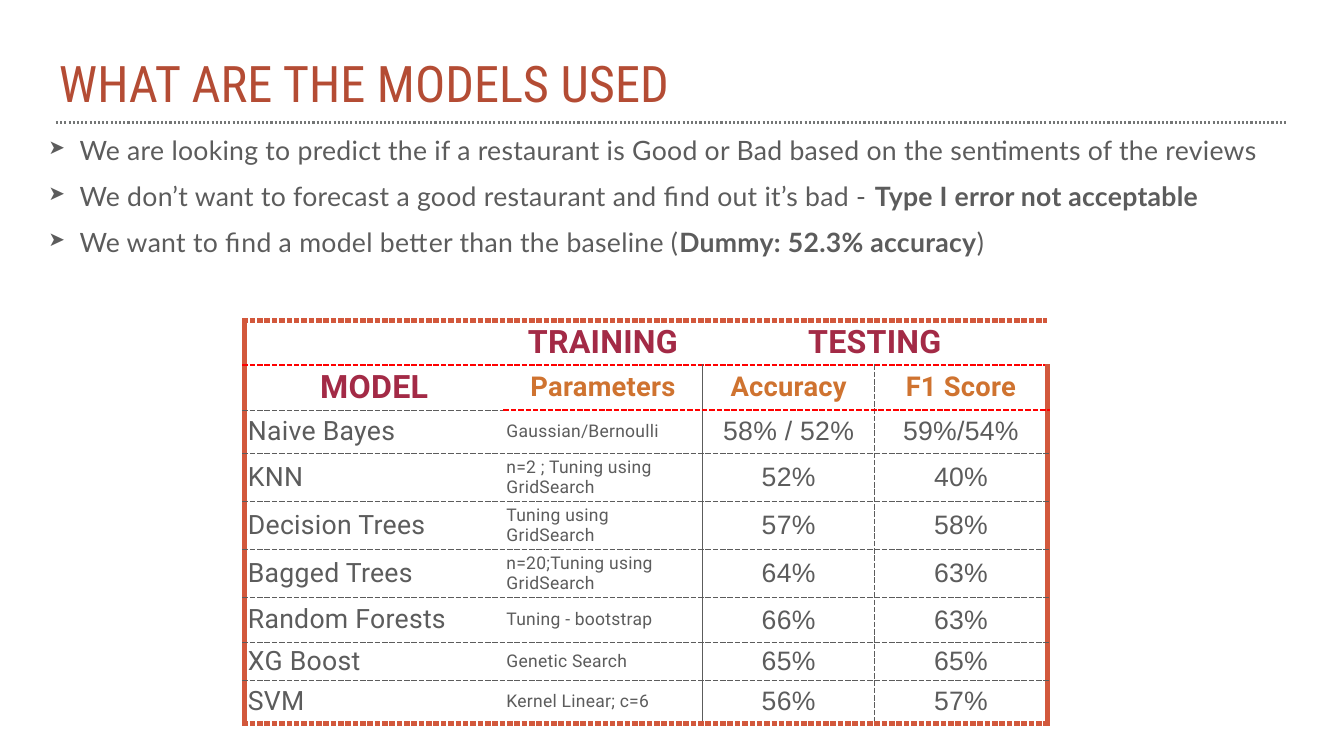
"""Build a slide that compares the models used to predict restaurant quality."""
from dataclasses import dataclass
from typing import NamedTuple, Optional

from lxml import etree
from pptx import Presentation
from pptx.dml.color import RGBColor
from pptx.enum.dml import MSO_LINE
from pptx.enum.shapes import MSO_CONNECTOR
from pptx.enum.text import MSO_ANCHOR, PP_ALIGN
from pptx.oxml.ns import qn
from pptx.util import Inches, Pt

LEFT, CENTER = PP_ALIGN.LEFT, PP_ALIGN.CENTER
TOP, MIDDLE = MSO_ANCHOR.TOP, MSO_ANCHOR.MIDDLE
STRAIGHT, DOTS = MSO_CONNECTOR.STRAIGHT, MSO_LINE.ROUND_DOT

WIDTH, HEIGHT = Inches(26.67), Inches(15)
INSET = Inches(0.06)
INDENT = Inches(0.62)


@dataclass(frozen=True)
class Theme:
    """Colours, fonts and type sizes."""
    title: str = "B44C34"
    body: str = "5C5C5C"
    rule: str = "747676"
    frame: str = "D2583C"
    alert: str = "FF0000"
    head: str = "A32A46"
    label: str = "CF7330"
    title_font: str = "Roboto Condensed"
    body_font: str = "Lato"
    text_font: str = "Roboto"
    score_font: str = "Arial"
    title_size: int = 72
    head_size: int = 46
    label_size: int = 39
    body_size: int = 38
    note_size: int = 25


class Type(NamedTuple):
    """Look of a run of text."""
    font: str
    size: int
    color: str
    bold: bool = False
    gap: int = 40


class Edge(NamedTuple):
    """Look of a cell border."""
    color: str
    width: float
    dash: str = "solid"


class Point(NamedTuple):
    """Bullet text with a bold part and a tail."""
    text: str
    strong: str = ""
    tail: str = ""


class Model(NamedTuple):
    """One model with its settings and test scores."""
    name: str
    setup: str
    accuracy: str
    score: str


THEME = Theme()
TITLE = Type(THEME.title_font, THEME.title_size, THEME.title, gap=0)
BODY = Type(THEME.body_font, THEME.body_size, THEME.body)
HEAD = Type(THEME.text_font, THEME.head_size, THEME.head, True)
LABEL = Type(THEME.text_font, THEME.label_size, THEME.label, True)
NAME = Type(THEME.text_font, THEME.body_size, THEME.body)
NOTE = Type(THEME.text_font, THEME.note_size, THEME.body)
SCORE = Type(THEME.score_font, THEME.body_size, THEME.body)

SIDE = Edge(THEME.frame, 8)
CAP = Edge(THEME.frame, 8, "sysDash")
ALERT = Edge(THEME.alert, 3, "sysDash")
THIN = Edge(THEME.body, 1, "dash")
SPLIT = Edge(THEME.body, 2)

POINTS = [
    Point("We are looking to predict the if a restaurant is Good or Bad "
          "based on the sentiments of the reviews"),
    Point("We don’t want to forecast a good restaurant and find out it’s bad - ",
          "Type I error not acceptable"),
    Point("We want to find a model better than the baseline (",
          "Dummy: 52.3% accuracy", ")"),
]
MODELS = [
    Model("Naive Bayes", "Gaussian/Bernoulli", "58% / 52%", "59%/54%"),
    Model("KNN", "n=2 ; Tuning using GridSearch", "52%", "40%"),
    Model("Decision Trees", "Tuning using GridSearch", "57%", "58%"),
    Model("Bagged Trees", "n=20;Tuning using GridSearch", "64%", "63%"),
    Model("Random Forests", "Tuning - bootstrap", "66%", "63%"),
    Model("XG Boost", "Genetic Search", "65%", "65%"),
    Model("SVM", "Kernel Linear; c=6", "56%", "57%"),
]
COLS = [19.24, 14.81, 12.82, 12.82]
ROWS = [5.27, 5.87, 5.73, 5.73, 5.73, 5.87, 5.93, 5, 5.67]


def across(share: float) -> int:
    """Turn a percentage of the slide's width into a length."""
    return int(WIDTH * share / 100)


def down(share: float) -> int:
    """Turn a percentage of the slide's height into a length."""
    return int(HEIGHT * share / 100)


def style(run, look: Type) -> None:
    """Apply a type look to a run."""
    run.font.name, run.font.size, run.font.bold = look.font, Pt(look.size), look.bold
    run.font.color.rgb = RGBColor.from_string(look.color)
    run.font._element.set("spc", str(look.gap))


def pad(frame, anchor) -> None:
    """Set the insets, wrapping and anchor of a text frame."""
    frame.margin_left = frame.margin_right = INSET
    frame.margin_top = frame.margin_bottom = INSET
    frame.word_wrap, frame.vertical_anchor = True, anchor


def draw_title(slide, text: str) -> None:
    """Fill the title and draw the dotted rule below it."""
    title = slide.shapes.title
    title.left, title.top = across(4.16), down(6.47)
    title.width, title.height = across(91.64), down(7.4)
    pad(title.text_frame, TOP)
    title.text_frame.text = text
    para = title.text_frame.paragraphs[0]
    para.alignment, para.line_spacing, para.space_before = LEFT, 1.0, Pt(0)
    style(para.runs[0], TITLE)
    rule = slide.shapes.add_connector(
        STRAIGHT, across(4.16), down(16.2), across(95.84), down(16.2))
    rule.line.color.rgb = RGBColor.from_string(THEME.rule)
    rule.line.width, rule.line.dash_style = Pt(3), DOTS
    etree.SubElement(rule._element.spPr, qn("a:effectLst"))


def draw_points(slide, points: list[Point]) -> None:
    """Draw the bullet list."""
    box = slide.shapes.add_textbox(across(3.37), down(16.47), across(92.35), down(18.87))
    frame = box.text_frame
    pad(frame, MIDDLE)
    for i, point in enumerate(points):
        para = frame.add_paragraph() if i else frame.paragraphs[0]
        props = para._p.get_or_add_pPr()
        props.set("marL", str(INDENT))
        props.set("indent", str(-INDENT))
        etree.SubElement(props, qn("a:buSzPct"), val="75000")
        etree.SubElement(props, qn("a:buChar"), char="➤")
        para.space_before = Pt(20 if i else 0)
        for part, text in enumerate(point):
            if text:
                run = para.add_run()
                run.text = text
                style(run, BODY._replace(bold=part == 1))


def flat(row: int, col: int) -> Edge:
    """Choose the border that lies above a row."""
    if row in (0, len(ROWS)):
        return CAP
    return ALERT if row == 1 or (row == 2 and col) else THIN


def tall(row: int, col: int) -> Optional[Edge]:
    """Choose the border that lies left of a column."""
    if col in (0, len(COLS)):
        return SIDE
    return {2: SPLIT, 3: THIN}.get(col) if row else None


def draw_edge(cell, tag: str, edge: Optional[Edge]) -> None:
    """Add one border to a cell."""
    line = etree.SubElement(cell._tc.get_or_add_tcPr(), qn(tag))
    if edge is None:
        etree.SubElement(line, qn("a:noFill"))
        return
    line.set("w", str(Pt(edge.width)))
    fill = etree.SubElement(line, qn("a:solidFill"))
    etree.SubElement(fill, qn("a:srgbClr"), val=edge.color)
    etree.SubElement(line, qn("a:prstDash"), val=edge.dash)


def fill_cell(cell, text: str, look: Type, align) -> None:
    """Write and format the text of a cell."""
    cell.text = text
    para = cell.text_frame.paragraphs[0]
    para.alignment = align
    for run in para.runs:
        style(run, look)


def draw_table(slide, models: list[Model]) -> None:
    """Draw the table of models and scores."""
    table = slide.shapes.add_table(
        len(ROWS), len(COLS), across(18.22), down(42.4),
        across(sum(COLS)), down(sum(ROWS))).table
    table.first_row = table.horz_banding = False
    for col, share in zip(table.columns, COLS):
        col.width = across(share)
    for row, share in zip(table.rows, ROWS):
        row.height = down(share)
    table.cell(0, 2).merge(table.cell(0, 3))
    lines = [("", "TRAINING", "TESTING", ""),
             ("MODEL", "Parameters", "Accuracy", "F1 Score"), *models]
    for r, line in enumerate(lines):
        looks = [HEAD] * 4 if r == 0 else [HEAD] + [LABEL] * 3
        if r > 1:
            looks = [NAME, NOTE, SCORE, SCORE]
        for c, text in enumerate(line):
            cell = table.cell(r, c)
            fill_cell(cell, text, looks[c], LEFT if r > 1 and c < 2 else CENTER)
            cell.margin_left = cell.margin_right = INSET
            cell.margin_top = cell.margin_bottom = INSET
            cell.vertical_anchor = MIDDLE
            draw_edge(cell, "a:lnL", tall(r, c))
            draw_edge(cell, "a:lnR", tall(r, c + 1))
            draw_edge(cell, "a:lnT", flat(r, c))
            draw_edge(cell, "a:lnB", flat(r + 1, c))
            cell.fill.background()


def main() -> None:
    """Build and save the slide."""
    deck = Presentation()
    deck.slide_width, deck.slide_height = WIDTH, HEIGHT
    slide = deck.slides.add_slide(deck.slide_layouts[5])
    draw_title(slide, "WHAT ARE THE MODELS USED")
    draw_points(slide, POINTS)
    draw_table(slide, MODELS)
    deck.save("out.pptx")


if __name__ == "__main__":
    main()
